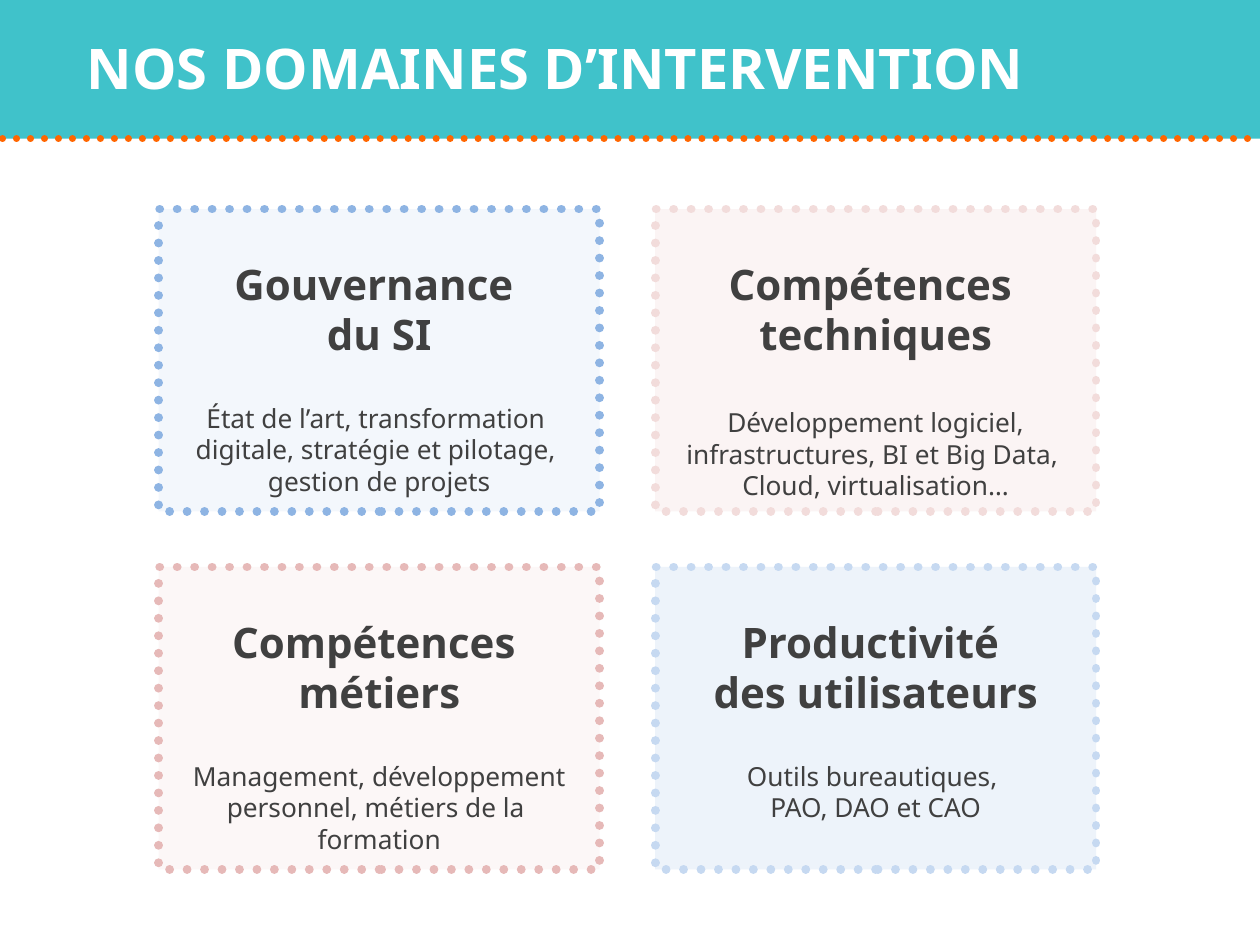
from dataclasses import dataclass

from lxml import etree
from pptx import Presentation
from pptx.dml.color import RGBColor
from pptx.enum.dml import MSO_LINE
from pptx.enum.shapes import MSO_CONNECTOR, MSO_SHAPE
from pptx.enum.text import MSO_ANCHOR, PP_ALIGN
from pptx.oxml.ns import qn
from pptx.util import Inches, Pt

RECT = MSO_SHAPE.RECTANGLE
LINE = MSO_CONNECTOR.STRAIGHT
DOTS = MSO_LINE.ROUND_DOT
TOP, MIDDLE = MSO_ANCHOR.TOP, MSO_ANCHOR.MIDDLE
LEFT, CENTER = PP_ALIGN.LEFT, PP_ALIGN.CENTER

FONT = "Noto Sans"
COLORS = {
    "teal": "40C2CA", "orange": "FF6600", "white": "FFFFFF", "text": "404040",
    "blue": "8EB4E3", "pale": "C6D9F1", "rose": "E6B9B8", "blush": "F2DCDB",
}
WIDE, HIGH = 10, 7.5
BAND = 1.1
GRID_X, GRID_Y = 1.26, 1.66
CARD_W, CARD_H = 3.5, 2.4
STEP_X, STEP_Y = CARD_W + 0.44, CARD_H + 0.44


@dataclass(frozen=True)
class Card:
    """One field of work, placed by column and row."""
    col: int
    row: int
    color: str
    alpha: int
    head: tuple[str, ...]
    body: tuple[str, ...]
    gap: float = 24.5
    side: float = 0.1


CARDS = (
    Card(0, 0, "blue", 10, ("Gouvernance ", "du SI"),
         ("État de l’art, transformation ", "digitale, stratégie et pilotage, ",
          "gestion de projets")),
    Card(1, 0, "blush", 30, ("Compétences ", "techniques"),
         ("Développement logiciel, infrastructures, BI et Big Data, ",
          "Cloud, virtualisation…"), gap=27.2),
    Card(0, 1, "rose", 10, ("Compétences ", "métiers"),
         ("Management, développement personnel, métiers de la ", "formation"),
         side=0.04),
    Card(1, 1, "pale", 30, ("Productivité ", "des utilisateurs"),
         ("Outils bureautiques, ", "PAO, DAO et CAO")),
)


def tint(name: str) -> RGBColor:
    """Look up a colour by name."""
    return RGBColor.from_string(COLORS[name])


def dot(line, name: str, width: float) -> None:
    """Give a line round dots."""
    line.color.rgb = tint(name)
    line.width = Pt(width)
    line.dash_style = DOTS
    line._get_or_add_ln().set("cap", "rnd")


def block(slide, x: float, y: float, w: float, h: float, name: str):
    """Add a plain filled box."""
    box = slide.shapes.add_shape(RECT, Inches(x), Inches(y), Inches(w), Inches(h))
    box.shadow.inherit = False
    box.fill.solid()
    box.fill.fore_color.rgb = tint(name)
    box.line.fill.background()
    return box


def write(para, text: str, size: float, name: str, bold: bool, align) -> None:
    """Set one run in a paragraph."""
    para.alignment = align
    run = para.add_run()
    run.text = text
    font = run.font
    font.name, font.size, font.bold = FONT, Pt(size), bold
    font.color.rgb = tint(name)


def header(slide) -> None:
    """Draw the band, its dotted edge and the title."""
    block(slide, 0, 0, WIDE, BAND, "teal")
    edge = slide.shapes.add_connector(
        LINE, Inches(0.02), Inches(BAND), Inches(WIDE), Inches(BAND))
    dot(edge.line, "orange", 4)
    etree.SubElement(edge._element.spPr, qn("a:effectLst"))
    title = slide.shapes.add_textbox(
        Inches(0.59), Inches(0), Inches(8.11), Inches(1.07))
    frame = title.text_frame
    frame.word_wrap = True
    frame.vertical_anchor = MIDDLE
    write(frame.paragraphs[0], "NOS DOMAINES D’INTERVENTION", 32, "white", True, LEFT)


def draw(slide, card: Card) -> None:
    """Draw a card with its heading and its details."""
    box = block(slide, GRID_X + card.col * STEP_X, GRID_Y + card.row * STEP_Y,
                CARD_W, CARD_H, card.color)
    shade = box._element.spPr.find(qn("a:solidFill"))[0]
    etree.SubElement(shade, qn("a:alpha"), val=str(card.alpha * 1000))
    dot(box.line, card.color, 5)
    frame = box.text_frame
    frame.word_wrap = True
    frame.vertical_anchor = TOP
    frame.margin_left = frame.margin_right = Inches(card.side)
    frame.margin_top, frame.margin_bottom = Inches(0.39), Inches(0.1)
    first = len(card.head)
    for i, text in enumerate(card.head + card.body):
        para = frame.add_paragraph() if i else frame.paragraphs[0]
        bold = i < first
        write(para, text, 24 if bold else 15, "text", bold, CENTER)
        if i == first:
            para.space_before = Pt(card.gap)


def main() -> None:
    """Build and save the slide."""
    deck = Presentation()
    deck.slide_width, deck.slide_height = Inches(WIDE), Inches(HIGH)
    slide = deck.slides.add_slide(deck.slide_layouts[6])
    header(slide)
    for card in CARDS:
        draw(slide, card)
    deck.save("out.pptx")


main()
